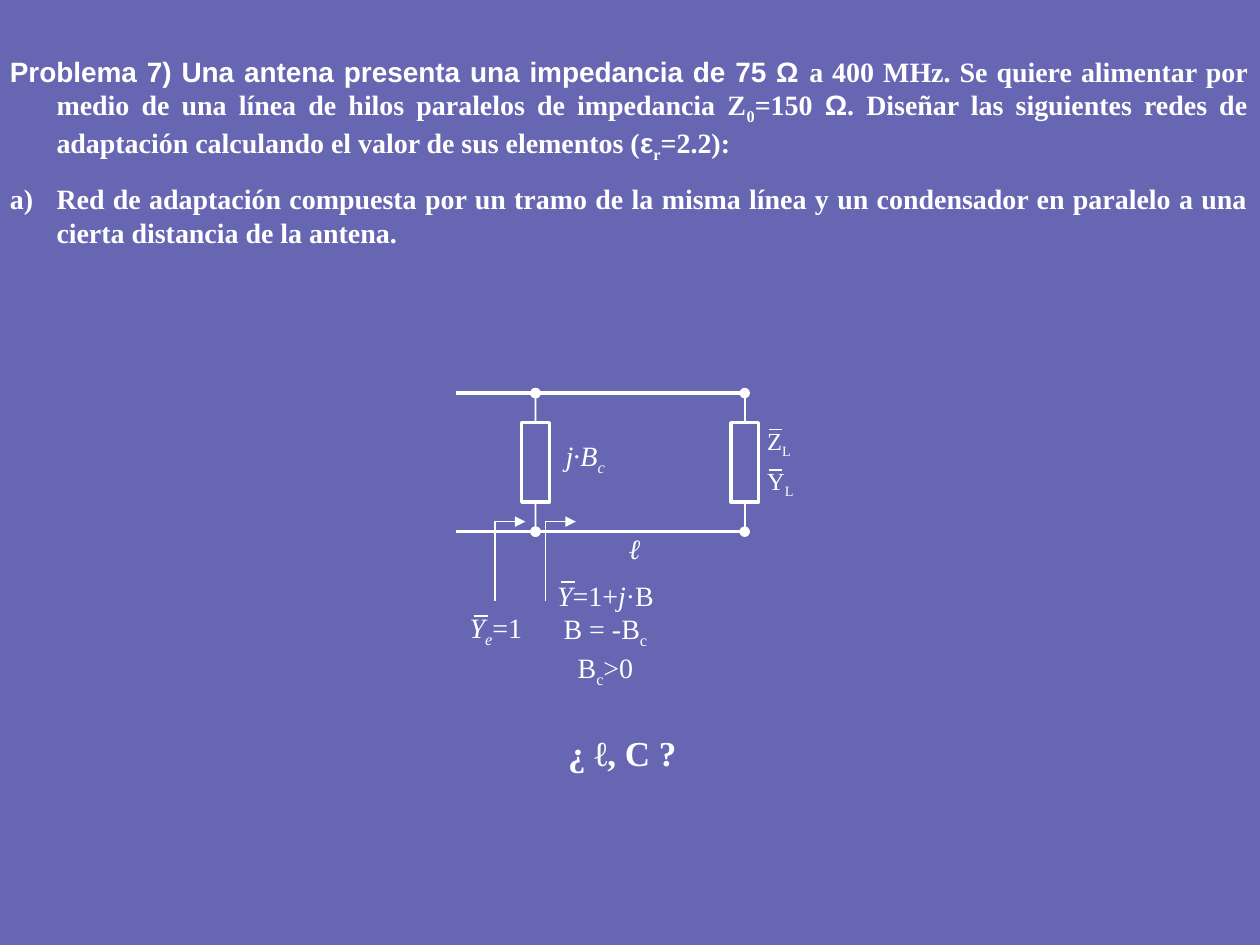
from lxml.etree import SubElement
from pptx import Presentation
from pptx.dml.color import RGBColor
from pptx.enum.shapes import MSO_CONNECTOR, MSO_SHAPE
from pptx.enum.text import MSO_ANCHOR, PP_ALIGN
from pptx.oxml.ns import qn
from pptx.util import Inches, Pt

COLORS = {"panel": "333399", "ink": "FFFFFF"}
SERIF, SANS = "Times New Roman", "Arial"
WIDTH, HEIGHT = 10, 7.5
COLUMNS = {"input": 3.62, "capacitor": 4.25, "load": 5.91}
ROWS = {"top": 3.12, "bottom": 4.22}
BOX_WIDTH, BOX_HEIGHT = 0.22, 0.63
ARROW_RUN, ARROW_RISE = 0.24, 0.63
ARROW_TOP = 4.14
ARROWS = [3.93, 4.33]

PROBLEM = [
    [("Problema 7) Una antena presenta una impedancia de 75 Ω ", "ba"),
     ("a 400 MHz. Se quiere alimentar por medio de una línea de hilos "
      "paralelos de impedancia Z", "b"), ("0", "bs"), ("=150 ", "b"),
     ("Ω", "ba"),
     (". Diseñar las siguientes redes de adaptación calculando el valor "
      "de sus elementos (", "b"), ("ε", "ba"), ("r", "bs"), ("=2.2):", "b")],
    [("Red de adaptación compuesta por un tramo de la misma línea y un "
      "condensador en paralelo a una cierta distancia de la antena.", "b")],
]
LABELS = [
    ((5.99, 3.33, 0.39, 0.37), 14, PP_ALIGN.LEFT, [[("Z", ""), ("L", "s")]]),
    ((5.99, 3.65, 0.41, 0.37), 14, PP_ALIGN.LEFT, [[("Y", ""), ("L", "s")]]),
    ((4.72, 4.17, 0.63, 0.37), 16, PP_ALIGN.CENTER, [[("ℓ", "i")]]),
    ((4.33, 3.43, 0.63, 0.41), 16, PP_ALIGN.CENTER,
     [[("j", "i"), ("∙", ""), ("B", "i"), ("c", "is")]]),
    ((3.94, 4.54, 1.73, 0.98), 16, PP_ALIGN.CENTER,
     [[("Y", "i"), ("=1+", ""), ("j", "i"), ("·B", "")],
      [("B = -B", ""), ("c", "s")],
      [("B", ""), ("c", "s"), (">0", "")]]),
    ((3.54, 4.80, 0.79, 0.41), 16, PP_ALIGN.CENTER,
     [[("Y", "i"), ("e", "is"), ("=1", "")]]),
    ((4.41, 5.76, 1.06, 0.44), 20, PP_ALIGN.CENTER, [[("¿ ℓ, C ?", "b")]]),
]
OVERBARS = [(6.10, 3.41, 0.75), (6.10, 3.73, 0.75),
            (4.45, 4.62, 1), (3.76, 4.89, 1)]
OVERBAR_WIDTH = 0.11


def set_values(target, values):
    for name, value in values.items():
        setattr(target, name, value)


def style_line(shape, weight, **ends):
    shape.line.color.rgb = RGBColor.from_string(COLORS["ink"])
    shape.line.width = Pt(weight)
    for end in ("headEnd", "tailEnd"):
        if end in ends:
            SubElement(shape.line._get_or_add_ln(), qn("a:" + end), type=ends[end])


def add_line(start, finish, weight, **ends):
    points = [Inches(value) for value in start + finish]
    line = slide.shapes.add_connector(MSO_CONNECTOR.STRAIGHT, *points)
    style_line(line, weight, **ends)
    SubElement(line._element.spPr, qn("a:effectLst"))
    return line


def add_rectangle(left, top, width, height):
    rectangle = slide.shapes.add_shape(
        MSO_SHAPE.RECTANGLE, *map(Inches, (left, top, width, height)))
    rectangle.shadow.inherit = False
    return rectangle


def add_runs(paragraph, runs, size):
    for text, flags in runs:
        run = paragraph.add_run()
        run.text = text
        set_values(run.font, {
            "size": Pt(size), "name": SANS if "a" in flags else SERIF,
            "bold": "b" in flags, "italic": "i" in flags})
        run.font.color.rgb = RGBColor.from_string(COLORS["ink"])
        if "s" in flags:
            run.font._element.set("baseline", "-25000")


def fill_text(frame, paragraphs, size, values):
    for index, runs in enumerate(paragraphs):
        paragraph = frame.paragraphs[0] if index == 0 else frame.add_paragraph()
        set_values(paragraph, values)
        add_runs(paragraph, runs, size)


def add_panel():
    panel = add_rectangle(-0.02, -0.04, WIDTH + 0.02, HEIGHT + 0.22)
    panel.fill.solid()
    panel.fill.fore_color.rgb = RGBColor.from_string(COLORS["panel"])
    color = panel._element.spPr.find(qn("a:solidFill"))[0]
    SubElement(color, qn("a:alpha"), val="75000")
    panel.line.fill.background()
    frame = panel.text_frame
    set_values(frame, {"word_wrap": True, "vertical_anchor": MSO_ANCHOR.TOP,
                       "margin_top": Inches(0.47)})
    fill_text(frame, PROBLEM, 16, {"alignment": PP_ALIGN.JUSTIFY})
    for paragraph in frame.paragraphs:
        properties = paragraph._p.get_or_add_pPr()
        properties.set("marL", str(Inches(0.37)))
        properties.set("indent", str(Inches(-0.37)))
    item = frame.paragraphs[1]
    item.space_before = Pt(10)
    SubElement(item._p.pPr, qn("a:buAutoNum"), type="alphaLcParenR")


def add_element(column):
    center = COLUMNS[column]
    middle = (ROWS["top"] + ROWS["bottom"]) / 2
    top = middle - BOX_HEIGHT / 2
    box = add_rectangle(center - BOX_WIDTH / 2, top, BOX_WIDTH, BOX_HEIGHT)
    box.fill.background()
    style_line(box, 2)
    for row, edge, site in (("top", top, 0), ("bottom", top + BOX_HEIGHT, 2)):
        lead = add_line((center, edge), (center, ROWS[row]), 1)
        lead.begin_connect(box, site)


def add_arrow(left):
    builder = slide.shapes.build_freeform(
        Inches(left), Inches(ARROW_TOP + ARROW_RISE))
    builder.add_line_segments(
        [(Inches(left), Inches(ARROW_TOP)),
         (Inches(left + ARROW_RUN), Inches(ARROW_TOP))], close=False)
    arrow = builder.convert_to_shape()
    arrow.shadow.inherit = False
    arrow.fill.background()
    style_line(arrow, 0.75, tailEnd="triangle")


def add_label(place, size, alignment, paragraphs):
    label = slide.shapes.add_textbox(*map(Inches, place))
    label.text_frame.word_wrap = place[2] > 0.5 and size < 20
    fill_text(label.text_frame, paragraphs, size, {"alignment": alignment})


presentation = Presentation()
set_values(presentation, {"slide_width": Inches(WIDTH),
                          "slide_height": Inches(HEIGHT)})
slide = presentation.slides.add_slide(presentation.slide_layouts[6])

add_panel()
for height in ROWS.values():
    load, capacitor, entry = (
        (COLUMNS[name], height) for name in ("load", "capacitor", "input"))
    add_line(load, capacitor, 2, headEnd="oval", tailEnd="oval")
    add_line(capacitor, entry, 2, headEnd="oval")
for column in ("capacitor", "load"):
    add_element(column)
for left in ARROWS:
    add_arrow(left)
for label in LABELS:
    add_label(*label)
for left, top, weight in OVERBARS:
    add_line((left, top), (left + OVERBAR_WIDTH, top), weight)

presentation.save("out.pptx")
